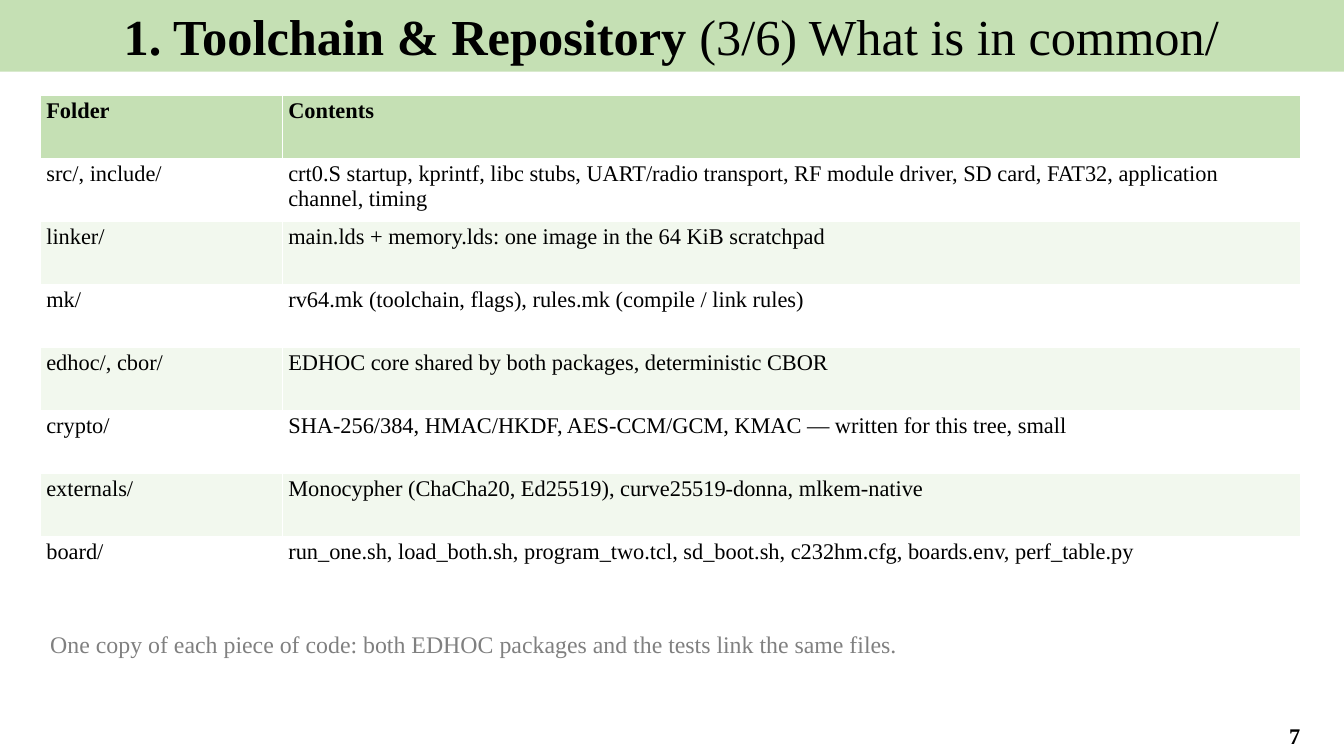
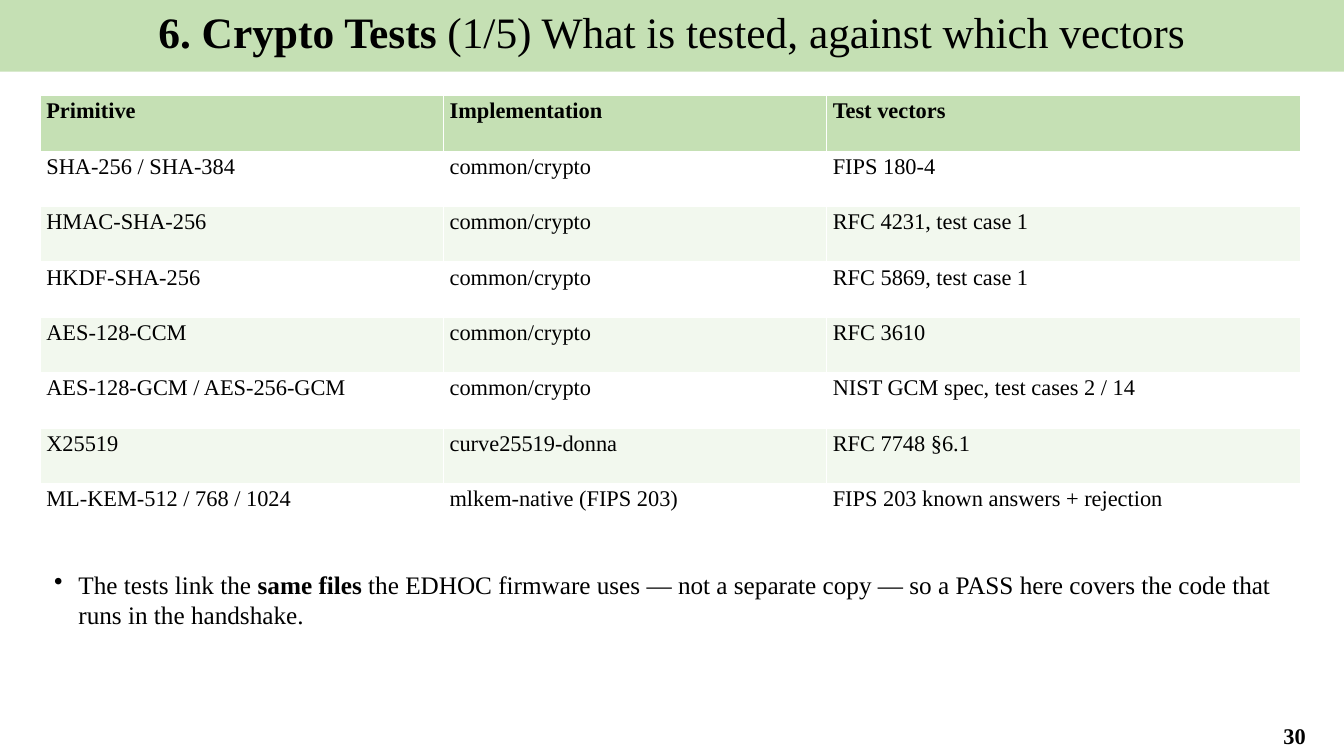
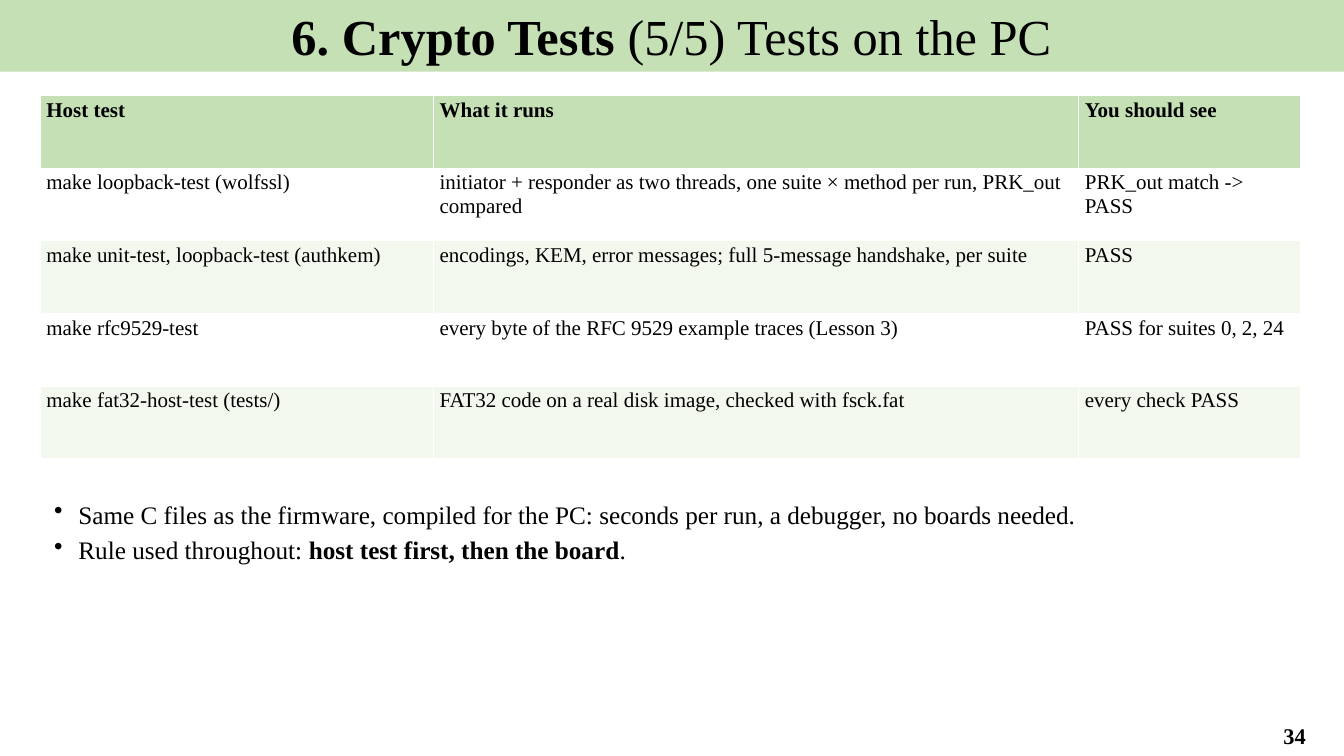
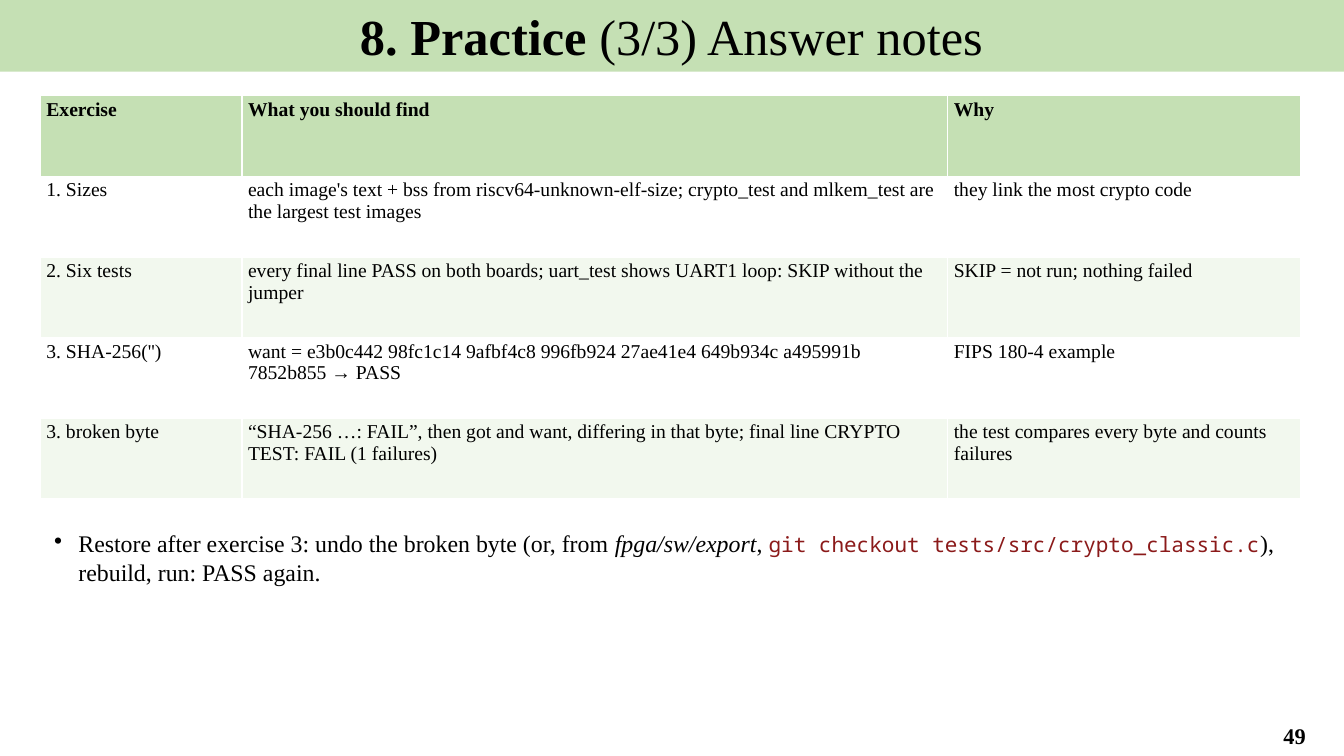
from lxml import etree
from pptx import Presentation
from pptx.dml.color import RGBColor
from pptx.enum.shapes import MSO_SHAPE as Shape
from pptx.enum.text import MSO_ANCHOR as Anchor, MSO_AUTO_SIZE as AutoSize, PP_ALIGN as Align
from pptx.oxml.ns import qn
from pptx.util import Inches, Pt

GREEN = RGBColor(0xC5, 0xE0, 0xB4)
PALE_GREEN = RGBColor(0xF2, 0xF8, 0xEE)
WHITE = RGBColor(0xFF, 0xFF, 0xFF)
BLACK = RGBColor(0, 0, 0)
GRAY = RGBColor(0x80, 0x80, 0x80)
DARK_RED = RGBColor(0x8B, 0x1A, 0x1A)

SERIF = "Times New Roman"
MONO = "Noto Sans Mono"
BOLD = {"bold": True}
ITALIC = {"italic": True}
CODE = {"font": MONO, "size": 15, "color": DARK_RED}

LEFT, TABLE_TOP, CONTENT_WIDTH = 0.4, 0.95, 12.5

# Each note is a list of (text, format) spans.
PAGES = [
    {
        "number": 7,
        "title": ("1. Toolchain & Repository ", "(3/6) What is in common/"),
        "columns": [2.4, 10.1],
        "table_height": 5,
        "rows": [
            ("Folder", "Contents"),
            ("src/, include/", "crt0.S startup, kprintf, libc stubs, UART/radio transport, "
             "RF module driver, SD card, FAT32, application channel, timing"),
            ("linker/", "main.lds + memory.lds: one image in the 64 KiB scratchpad"),
            ("mk/", "rv64.mk (toolchain, flags), rules.mk (compile / link rules)"),
            ("edhoc/, cbor/", "EDHOC core shared by both packages, deterministic CBOR"),
            ("crypto/", "SHA-256/384, HMAC/HKDF, AES-CCM/GCM, KMAC — written for this tree, small"),
            ("externals/", "Monocypher (ChaCha20, Ed25519), curve25519-donna, mlkem-native"),
            ("board/", "run_one.sh, load_both.sh, program_two.tcl, sd_boot.sh, c232hm.cfg, "
             "boards.env, perf_table.py"),
        ],
        "notes_at": (6.2, 0.7),
        "notes_size": 17,
        "notes_color": GRAY,
        "bullets": False,
        "notes": [[("One copy of each piece of code: both EDHOC packages and the tests "
                    "link the same files.", {})]],
    },
    {
        "number": 30,
        "title": ("6. Crypto Tests ", "(1/5) What is tested, against which vectors"),
        "title_size": 31,
        "columns": [4, 3.8, 4.7],
        "table_height": 4.4,
        "rows": [
            ("Primitive", "Implementation", "Test vectors"),
            ("SHA-256 / SHA-384", "common/crypto", "FIPS 180-4"),
            ("HMAC-SHA-256", "common/crypto", "RFC 4231, test case 1"),
            ("HKDF-SHA-256", "common/crypto", "RFC 5869, test case 1"),
            ("AES-128-CCM", "common/crypto", "RFC 3610"),
            ("AES-128-GCM / AES-256-GCM", "common/crypto", "NIST GCM spec, test cases 2 / 14"),
            ("X25519", "curve25519-donna", "RFC 7748 §6.1"),
            ("ML-KEM-512 / 768 / 1024", "mlkem-native (FIPS 203)",
             "FIPS 203 known answers + rejection"),
        ],
        "notes_at": (5.6, 1.2),
        "notes": [[("The tests link the ", {}), ("same files", BOLD),
                   (" the EDHOC firmware uses — not a separate copy — so a PASS here "
                    "covers the code that runs in the handshake.", {})]],
    },
    {
        "number": 34,
        "title": ("6. Crypto Tests ", "(5/5) Tests on the PC"),
        "columns": [3.9, 6.4, 2.2],
        "table_height": 3.6,
        "table_size": 15,
        "rows": [
            ("Host test", "What it runs", "You should see"),
            ("make loopback-test (wolfssl)", "initiator + responder as two threads, "
             "one suite × method per run, PRK_out compared", "PRK_out match -> PASS"),
            ("make unit-test, loopback-test (authkem)",
             "encodings, KEM, error messages; full 5-message handshake, per suite", "PASS"),
            ("make rfc9529-test", "every byte of the RFC 9529 example traces (Lesson 3)",
             "PASS for suites 0, 2, 24"),
            ("make fat32-host-test (tests/)",
             "FAT32 code on a real disk image, checked with fsck.fat", "every check PASS"),
        ],
        "notes_at": (4.9, 1.8),
        "notes": [
            [("Same C files as the firmware, compiled for the PC: seconds per run, "
              "a debugger, no boards needed.", {})],
            [("Rule used throughout: ", {}), ("host test first, then the board", BOLD), (".", {})],
        ],
    },
    {
        "number": 49,
        "title": ("8. Practice ", "(3/3) Answer notes"),
        "columns": [2, 7, 3.5],
        "table_height": 4,
        "table_size": 14,
        "rows": [
            ("Exercise", "What you should find", "Why"),
            ("1. Sizes", "each image's text + bss from riscv64-unknown-elf-size; crypto_test "
             "and mlkem_test are the largest test images", "they link the most crypto code"),
            ("2. Six tests", "every final line PASS on both boards; uart_test shows "
             "UART1 loop: SKIP without the jumper", "SKIP = not run; nothing failed"),
            ("3. SHA-256('')", "want = e3b0c442 98fc1c14 9afbf4c8 996fb924 27ae41e4 649b934c "
             "a495991b 7852b855 → PASS", "FIPS 180-4 example"),
            ("3. broken byte", "“SHA-256 …: FAIL”, then got and want, differing in that byte; "
             "final line CRYPTO TEST: FAIL (1 failures)",
             "the test compares every byte and counts failures"),
        ],
        "notes_at": (5.2, 1.2),
        "notes_size": 17,
        "notes": [[("Restore after exercise 3: undo the broken byte (or, from ", {}),
                   ("fpga/sw/export", ITALIC), (", ", {}),
                   ("git checkout tests/src/crypto_classic.c", CODE),
                   ("), rebuild, run: PASS again.", {})]],
    },
]


def add_span(para, text, size=18, font=SERIF, color=BLACK, bold=False, italic=False):
    span = para.add_run()
    span.text = text
    span.font.size = Pt(size)
    span.font.name = font
    span.font.color.rgb = color
    span.font.bold = bold
    span.font.italic = italic


def write(frame, paragraphs, align=Align.LEFT, space_after=None, bullets=False, **base):
    """Fill a text frame; each span's own format overrides the base format."""
    frame.word_wrap = True
    for index, spans in enumerate(paragraphs):
        para = frame.paragraphs[0] if index == 0 else frame.add_paragraph()
        if bullets:
            properties = para._p.get_or_add_pPr()
            properties.set("marL", str(Inches(0.28)))
            properties.set("indent", str(Inches(-0.24)))
            etree.SubElement(properties, qn("a:buChar")).set("char", "•")
        para.alignment = align
        if space_after is not None:
            para.space_after = Pt(space_after)
        for text, style in spans:
            add_span(para, text, **{**base, **style})


def add_title(slide, topic, subject, size):
    band = slide.shapes.add_shape(
        Shape.RECTANGLE, Inches(-0.01), 0, Inches(13.34), Inches(0.71))
    band.shadow.inherit = False
    band.fill.solid()
    band.fill.fore_color.rgb = GREEN
    band.line.fill.background()
    band.text_frame.vertical_anchor = Anchor.TOP
    write(band.text_frame, [[(topic, BOLD), (subject, {})]], align=Align.CENTER, size=size)
    band.text_frame.auto_size = AutoSize.SHAPE_TO_FIT_TEXT


def add_page_number(slide, number):
    box = slide.shapes.add_textbox(Inches(12.35), Inches(7.1), Inches(0.98), Inches(0.39))
    box.text_frame.vertical_anchor = Anchor.MIDDLE
    write(box.text_frame, [[(str(number), BOLD)]], align=Align.CENTER, size=16)


def add_grid(slide, rows, columns, height, size):
    """Add the table; its built-in style supplies the white rules."""
    table = slide.shapes.add_table(
        len(rows), len(columns), Inches(LEFT), Inches(TABLE_TOP),
        Inches(CONTENT_WIDTH), Inches(height)).table
    for column, width in zip(table.columns, columns):
        column.width = Inches(width)
    for row_index, row in enumerate(rows):
        header = row_index == 0
        fill = GREEN if header else (PALE_GREEN, WHITE)[row_index % 2]
        for column_index, text in enumerate(row):
            cell = table.cell(row_index, column_index)
            cell.margin_left = cell.margin_right = Inches(0.06)
            cell.margin_top = cell.margin_bottom = Inches(0.03)
            cell.fill.solid()
            cell.fill.fore_color.rgb = fill
            write(cell.text_frame, [[(text, {})]], size=size, bold=header)


def add_notes(slide, page):
    top, height = page["notes_at"]
    box = slide.shapes.add_textbox(
        Inches(LEFT), Inches(top), Inches(CONTENT_WIDTH), Inches(height))
    write(box.text_frame, page["notes"], space_after=4, bullets=page.get("bullets", True),
          size=page.get("notes_size", 18), color=page.get("notes_color", BLACK))
    box.text_frame.auto_size = AutoSize.SHAPE_TO_FIT_TEXT


def main():
    deck = Presentation()
    deck.slide_width, deck.slide_height = Inches(13.33), Inches(7.5)
    for page in PAGES:
        slide = deck.slides.add_slide(deck.slide_layouts[6])
        add_title(slide, *page["title"], size=page.get("title_size", 36))
        add_page_number(slide, page["number"])
        add_grid(slide, page["rows"], page["columns"], page["table_height"],
                 page.get("table_size", 16))
        add_notes(slide, page)
    deck.save("out.pptx")


if __name__ == "__main__":
    main()
